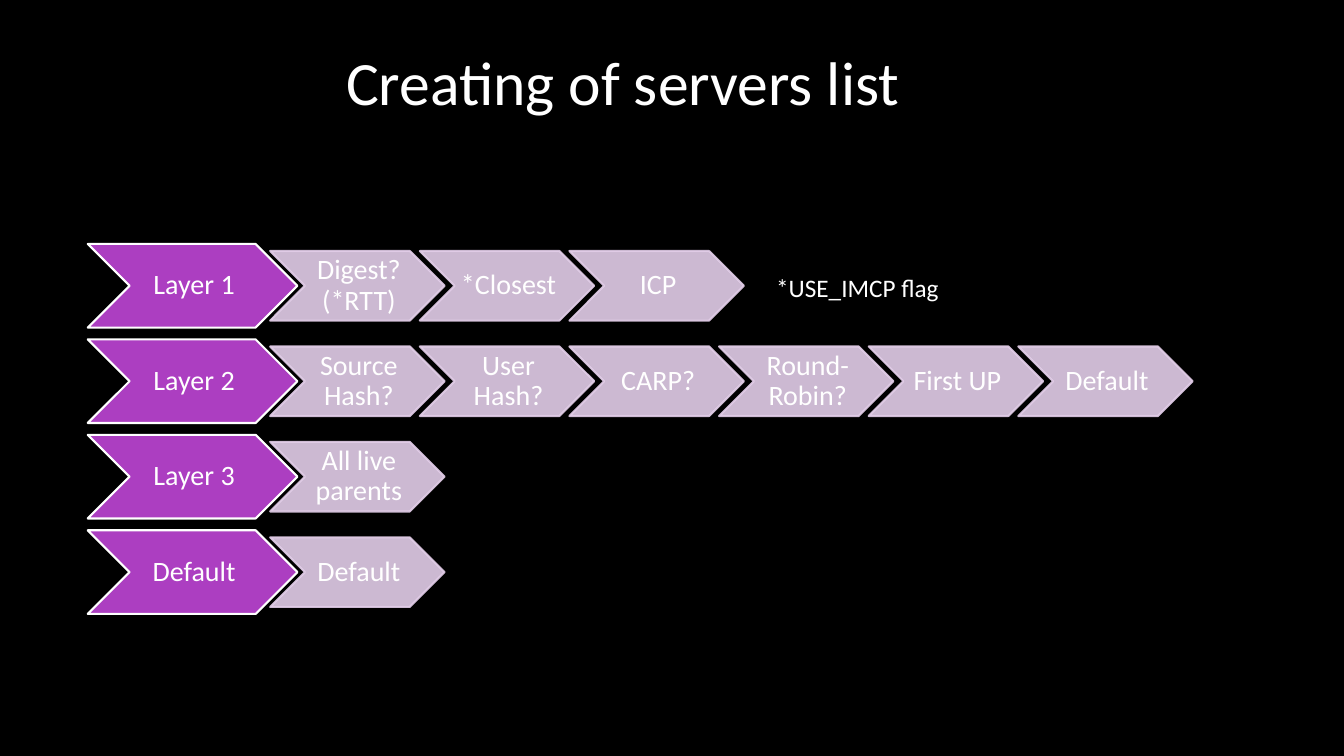
import pptx
import pptx.util
import pptx.dml.color
import pptx.enum.shapes
import pptx.enum.text
import pptx.oxml
import pptx.oxml.ns

Inches = pptx.util.Inches
Pt = pptx.util.Pt
RGBColor = pptx.dml.color.RGBColor
ALIGN = pptx.enum.text.PP_ALIGN
ANCHOR = pptx.enum.text.MSO_ANCHOR

BLACK = RGBColor(0x00, 0x00, 0x00)
WHITE = RGBColor(0xFF, 0xFF, 0xFF)
PURPLE = RGBColor(0xAC, 0x3E, 0xC1)
LILAC = RGBColor(0xE3, 0xCE, 0xE9)

LAYERS = [
    ("Layer 1", ["Digest? (*RTT)", "*Closest", "ICP"]),
    ("Layer 2", ["Source Hash?", "User Hash?", "CARP?", "Round-Robin?",
                 "First UP", "Default"]),
    ("Layer 3", ["All live parents"]),
    ("Default", ["Default"]),
]
LEFT, TOP, PITCH = 0.87, 2.42, 0.947
HEAD_W, HEAD_H = 2.08, 0.83
STEP_LEFT, STEP_GAP = 2.68, 1.484
STEP_W, STEP_H = 1.73, 0.69


def style(frame, text, size, align):
    frame.text = text
    para = frame.paragraphs[0]
    para.alignment = align
    para.font.size = Pt(size)
    para.font.name = "Calibri"
    para.font.color.rgb = WHITE
    return para


def fade(shape, percent):
    """Set the opacity of the fill and the line."""
    for color in shape._element.spPr.iter(pptx.oxml.ns.qn("a:srgbClr")):
        alpha = pptx.oxml.parse_xml(
            f'<a:alpha {pptx.oxml.ns.nsdecls("a")} val="{percent * 1000}"/>')
        color.append(alpha)


def add_arrow(slide, text, left, top, width, height, fill, line):
    arrow = slide.shapes.add_shape(
        pptx.enum.shapes.MSO_SHAPE.CHEVRON,
        Inches(left), Inches(top), Inches(width), Inches(height))
    arrow.shadow.inherit = False
    arrow.fill.solid()
    arrow.fill.fore_color.rgb = fill
    arrow.line.color.rgb = line
    arrow.line.width = Pt(1.5)
    frame = arrow.text_frame
    frame.word_wrap = True
    frame.vertical_anchor = ANCHOR.MIDDLE
    frame.margin_left, frame.margin_right = Inches(0.03), 0
    frame.margin_top = frame.margin_bottom = Inches(0.01)
    style(frame, text, 20, ALIGN.CENTER).line_spacing = 0.9
    return arrow


def add_layer(slide, top, name, steps):
    add_arrow(slide, name, LEFT, top, HEAD_W, HEAD_H, PURPLE, WHITE)
    inset = (HEAD_H - STEP_H) / 2
    for col, step in enumerate(steps):
        arrow = add_arrow(slide, step, STEP_LEFT + col * STEP_GAP,
                          top + inset, STEP_W, STEP_H, LILAC, LILAC)
        fade(arrow, 90)


def set_title(slide, text):
    title = slide.shapes.title
    title.left, title.top = Inches(1.5), Inches(0.39)
    title.width, title.height = Inches(9.36), Inches(0.84)
    frame = title.text_frame
    frame.auto_size = pptx.enum.text.MSO_AUTO_SIZE.NONE
    frame.vertical_anchor = ANCHOR.TOP
    style(frame, text, 44, ALIGN.CENTER)


def add_note(slide, text):
    box = slide.shapes.add_textbox(
        Inches(7.6), Inches(2.65), Inches(1.83), Inches(0.4))
    box.text_frame.word_wrap = False
    style(box.text_frame, text, 18, ALIGN.LEFT)


def main():
    deck = pptx.Presentation()
    deck.slide_width, deck.slide_height = Inches(13.33), Inches(7.5)
    slide = deck.slides.add_slide(deck.slide_layouts.get_by_name("Title Only"))
    slide.background.fill.solid()
    slide.background.fill.fore_color.rgb = BLACK
    set_title(slide, "Creating of servers list")
    for row, (name, steps) in enumerate(LAYERS):
        add_layer(slide, TOP + row * PITCH, name, steps)
    add_note(slide, "*USE_IMCP flag")
    deck.save("out.pptx")


if __name__ == "__main__":
    main()
